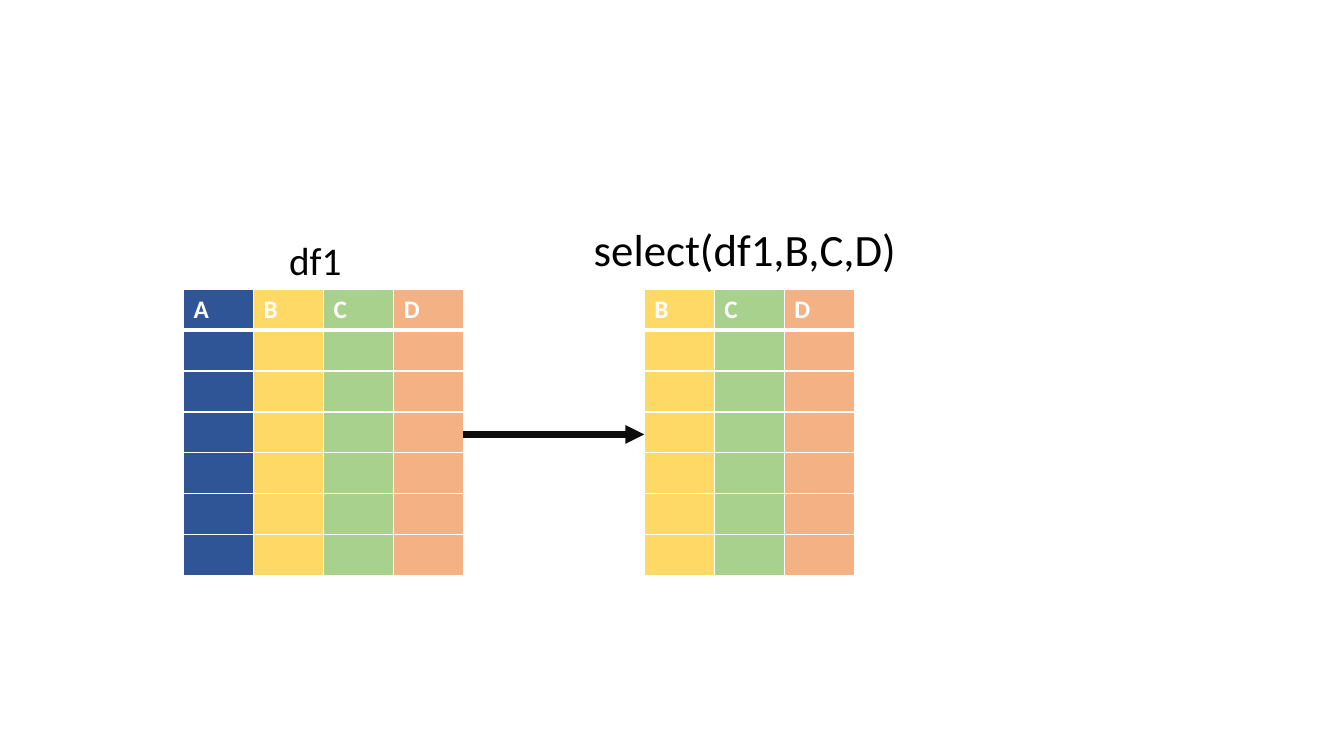
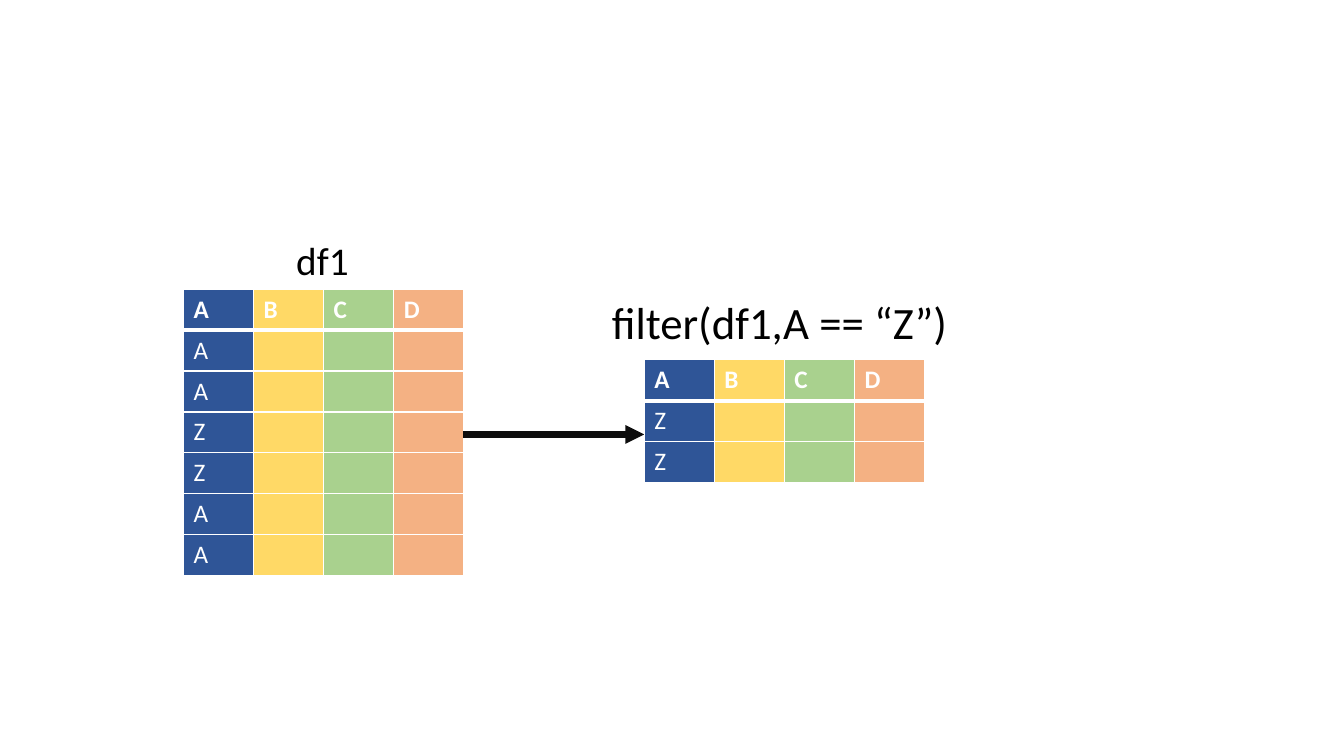
from dataclasses import dataclass

from lxml import etree
from pptx import Presentation, util as u
from pptx.dml.color import RGBColor
from pptx.enum import shapes, text
from pptx.oxml import ns


@dataclass(frozen=True)
class Theme:
    font: str = "Calibri"
    ink: str = "000000"
    arrow: str = "0D0D0D"
    paper: str = "FFFFFF"
    cell_size: int = 18
    name_size: int = 28
    call_size: int = 32
    grid_width: int = 1
    header_width: int = 3
    arrow_width: float = 4.5


theme = Theme()
column_fills = {"A": "2F5597", "B": "FFD966", "C": "A9D18E", "D": "F4B183"}

# Both grids share one cell size
cell_width = u.Inches(2.78 / 4)
cell_height = u.Inches(2.84 / 7)
source_left, source_top = 1.82, 2.87
result_left = 6.39
arrow_y = 4.31


def add_label(page, words, size, left, top, width, height):
    box = page.shapes.add_textbox(*map(u.Inches, (left, top, width, height)))
    box.text_frame.word_wrap = False
    box.text_frame.auto_size = text.MSO_AUTO_SIZE.SHAPE_TO_FIT_TEXT
    span = box.text_frame.paragraphs[0].add_run()
    span.text = words
    span.font.name = theme.font
    span.font.size = u.Pt(size)
    span.font.color.rgb = RGBColor.from_string(theme.ink)


def add_data_frame(page, columns, keys, left, top):
    """Draw a header row and one row per key; keys fill the first column."""
    row_count = len(keys) + 1
    frame = page.shapes.add_table(
        row_count, len(columns), u.Inches(left), u.Inches(top),
        cell_width * len(columns), cell_height * row_count)
    table = frame.table
    table.horz_banding = False
    for column in table.columns:
        column.width = cell_width
    for row_index, row in enumerate(table.rows):
        row.height = cell_height
        for name, cell in zip(columns, row.cells):
            # Borders, with a heavier rule under the header
            properties = cell._tc.get_or_add_tcPr()
            for side in "LRTB":
                heavy = (row_index, side) in ((0, "B"), (1, "T"))
                width = theme.header_width if heavy else theme.grid_width
                line = etree.SubElement(
                    properties, ns.qn(f"a:ln{side}"), w=str(u.Pt(width)))
                fill = etree.SubElement(line, ns.qn("a:solidFill"))
                etree.SubElement(fill, ns.qn("a:srgbClr"), val=theme.paper)
            cell.fill.solid()
            cell.fill.fore_color.rgb = RGBColor.from_string(column_fills[name])

            # Column names, then keys in the first column
            if row_index == 0:
                words = name
            else:
                words = keys[row_index - 1] if name == columns[0] else ""
            para = cell.text_frame.paragraphs[0]
            para.font.size = u.Pt(theme.cell_size)
            if words:
                span = para.add_run()
                span.text = words
                span.font.name = theme.font
                span.font.size = u.Pt(theme.cell_size)
                span.font.bold = row_index == 0
                span.font.color.rgb = RGBColor.from_string(theme.paper)


# Each operation: source keys and label left, then the call and its result
operations = [
    dict(source_keys=[""] * 6, name_left=2.77,
         call="select(df1,B,C,D)", call_place=(5.79, 2.15, 3.28, 0.64),
         columns="BCD", result_keys=[""] * 6, result_top=source_top),
    dict(source_keys="AAZZAA", name_left=2.84,
         call="filter(df1,A == “Z”)", call_place=(5.97, 2.87, 3.77, 0.64),
         columns="ABCD", result_keys="ZZ", result_top=3.57),
]

deck = Presentation()
deck.slide_width = u.Inches(13.33)
deck.slide_height = u.Inches(7.5)
blank_layout = deck.slide_layouts[6]

for operation in operations:
    page = deck.slides.add_slide(blank_layout)

    # Source data frame
    add_data_frame(page, "ABCD", operation["source_keys"], source_left, source_top)
    add_label(page, "df1", theme.name_size, operation["name_left"], 2.3, 0.86, 0.57)

    # Arrow from source to result
    arrow = page.shapes.add_connector(
        shapes.MSO_CONNECTOR.STRAIGHT, u.Inches(4.59), u.Inches(arrow_y),
        u.Inches(result_left), u.Inches(arrow_y))
    arrow.line.width = u.Pt(theme.arrow_width)
    arrow.line.color.rgb = RGBColor.from_string(theme.arrow)
    etree.SubElement(arrow.line._get_or_add_ln(), ns.qn("a:tailEnd"), type="triangle")
    etree.SubElement(arrow._element.spPr, ns.qn("a:effectLst"))

    # Result data frame
    add_data_frame(page, operation["columns"], operation["result_keys"],
                   result_left, operation["result_top"])
    add_label(page, operation["call"], theme.call_size, *operation["call_place"])

deck.save("out.pptx")
